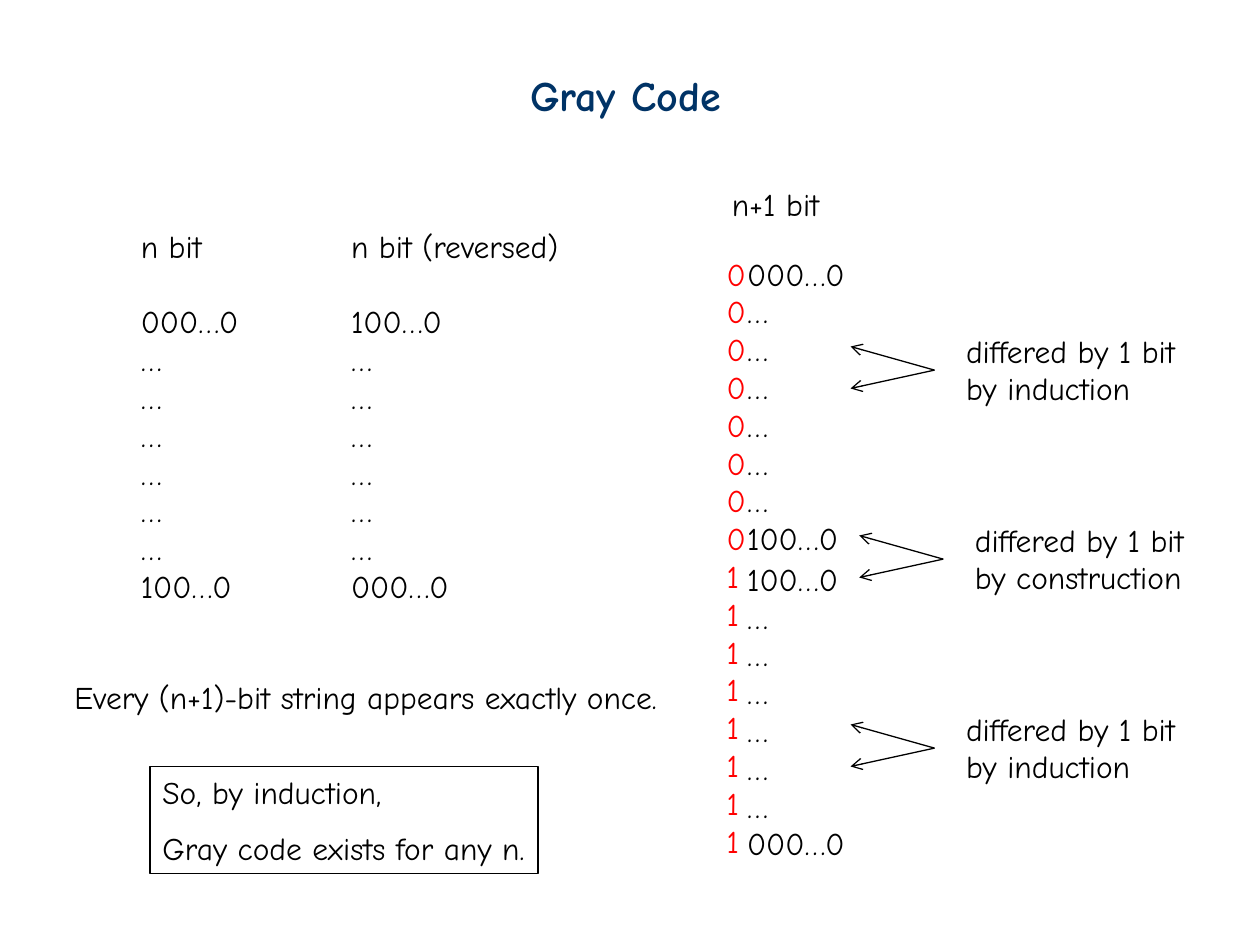
from dataclasses import dataclass

import lxml.etree
import pptx
import pptx.dml.color
import pptx.enum.shapes
import pptx.enum.text
import pptx.oxml.ns
import pptx.util
from pptx.util import Pt


@dataclass(frozen=True)
class Theme:
    font: str = "Comic Neue"
    title_size: float = 24
    body_size: float = 18
    line_height: float = 21.7
    line_width: float = 0.75
    title: str = "003366"
    ink: str = "000000"
    prefix: str = "FF0000"


theme = Theme()
deck = pptx.Presentation()
deck.slide_width, deck.slide_height = Pt(720), Pt(540)
page = deck.slides.add_slide(deck.slide_layouts[6])


def write(box, lines, color=theme.ink, size=theme.body_size, bold=False, wrap=False):
    """Fill a box with one left-aligned paragraph per line."""
    frame = box.text_frame
    frame.word_wrap = wrap
    frame.auto_size = pptx.enum.text.MSO_AUTO_SIZE.SHAPE_TO_FIT_TEXT
    frame.vertical_anchor = pptx.enum.text.MSO_ANCHOR.TOP
    for index, line in enumerate(lines):
        para = frame.paragraphs[0] if index == 0 else frame.add_paragraph()
        para.alignment = pptx.enum.text.PP_ALIGN.LEFT
        span = para.add_run()
        span.text = line
        span.font.name = theme.font
        span.font.size = Pt(size)
        span.font.bold = bold
        span.font.color.rgb = pptx.dml.color.RGBColor.from_string(color)
    return frame


def add_text(left, top, width, height, lines, **style):
    box = page.shapes.add_textbox(Pt(left), Pt(top), Pt(width), Pt(height))
    return write(box, lines, **style)


add_text(296, 36, 124, 36, ["Gray Code"],
         color=theme.title, size=theme.title_size, bold=True)

# The n-bit code and its reverse
code = ["000…0"] + ["…"] * 6 + ["100…0"]
reversed_code = code[::-1]
for left, width, heading, words in (
    (73.4, 72, "n bit", code),
    (193.5, 134, "n bit (reversed)", reversed_code),
):
    column = add_text(left, 126, width, 223.2, [heading] + words)
    column.paragraphs[1].space_before = Pt(theme.line_height)

# The (n+1)-bit code: a prefix column beside both halves
add_text(411.1, 102.2, 67, 28.8, ["n+1 bit"])
add_text(419.8, 142, 113.8, 180, code, wrap=True)
add_text(419.8, 316.4, 90, 180, reversed_code, wrap=True)
add_text(408.2, 142, 25.2, 352.8, ["0"] * 8 + ["1"] * 8, color=theme.prefix)

# Notes, each pointing at two neighbouring rows
for left, top, reason in (
    (545, 186, "by induction"),
    (550, 294, "by construction"),
    (545, 402, "by induction"),
):
    add_text(left, top, 136, 50.4, ["differed by 1 bit", reason])
    for rise in (12, 36):
        arrow = page.shapes.add_connector(
            pptx.enum.shapes.MSO_CONNECTOR.STRAIGHT,
            Pt(left - 11), Pt(top + 25.5), Pt(left - 59), Pt(top + rise))
        arrow.line.width = Pt(theme.line_width)
        arrow.line.color.rgb = pptx.dml.color.RGBColor.from_string(theme.ink)
        outline = arrow.line._get_or_add_ln()
        lxml.etree.SubElement(outline, pptx.oxml.ns.qn("a:tailEnd"), type="arrow")
        lxml.etree.SubElement(arrow._element.spPr, pptx.oxml.ns.qn("a:effectLst"))

# Conclusion
add_text(35.5, 383.8, 349, 28.8, ["Every (n+1)-bit string appears exactly once."])
conclusion = page.shapes.add_shape(
    pptx.enum.shapes.MSO_SHAPE.RECTANGLE, Pt(85.7), Pt(438), Pt(221.8), Pt(61.2))
conclusion.shadow.inherit = False
conclusion.fill.background()
conclusion.line.width = Pt(theme.line_width)
conclusion.line.color.rgb = pptx.dml.color.RGBColor.from_string(theme.ink)
frame = write(conclusion, ["So, by induction,", "Gray code exists for any n."])
frame.paragraphs[1].line_spacing = 1.5

deck.save("out.pptx")
